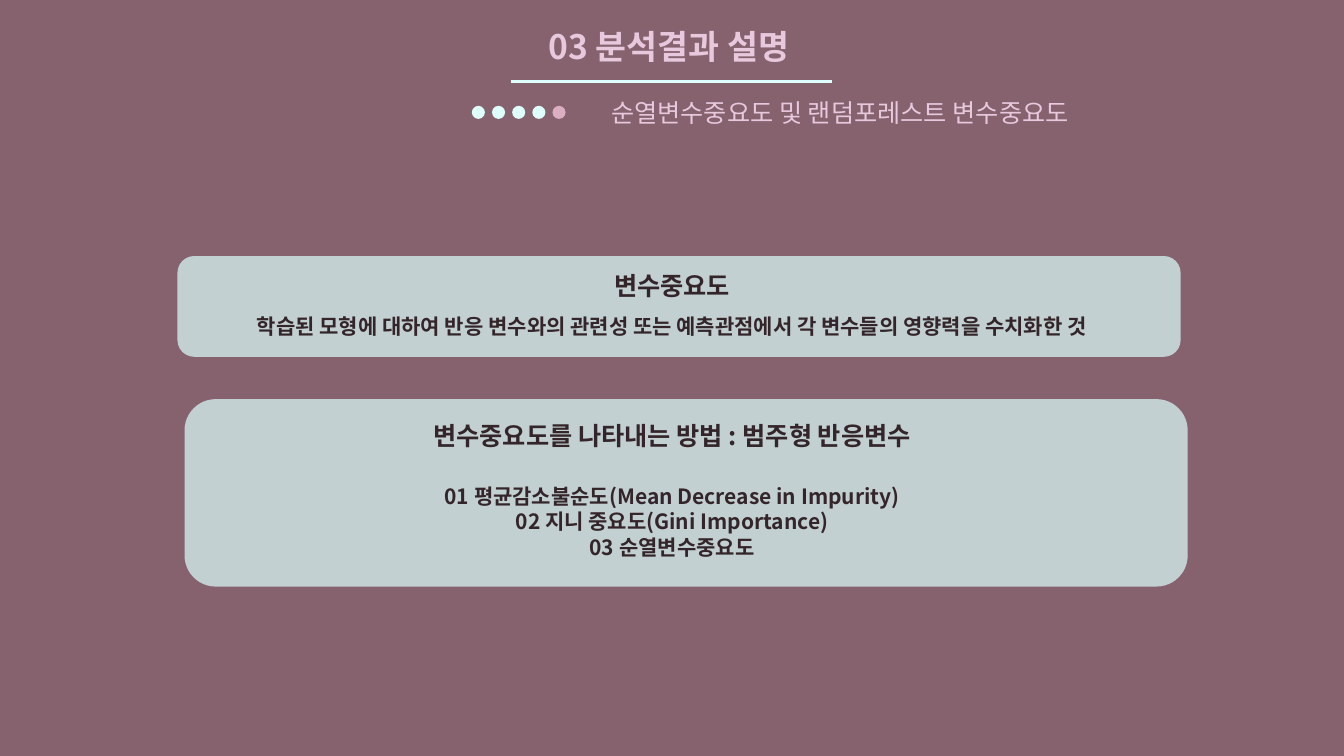
from dataclasses import dataclass

from lxml.etree import SubElement
from pptx import Presentation
from pptx.dml.color import RGBColor
from pptx.enum.shapes import MSO_CONNECTOR, MSO_SHAPE
from pptx.enum.text import MSO_AUTO_SIZE, PP_ALIGN
from pptx.oxml.ns import qn
from pptx.shapes.autoshape import Shape
from pptx.slide import Slide
from pptx.util import Inches, Pt


@dataclass(frozen=True)
class Theme:
    font: str = "Noto Sans CJK KR"
    background: RGBColor = RGBColor(0x86, 0x62, 0x6E)
    mint: RGBColor = RGBColor(0xDE, 0xFF, 0xFC)
    rose: RGBColor = RGBColor(0xDB, 0xAF, 0xC1)
    pink: RGBColor = RGBColor(0xE7, 0xC8, 0xDD)
    dark: RGBColor = RGBColor(0x33, 0x25, 0x29)
    title_size: int = 24
    heading_size: int = 18
    body_size: int = 15
    panel_opacity: int = 70


THEME = Theme()


@dataclass(frozen=True)
class Box:
    left: float
    top: float
    width: float
    height: float


@dataclass(frozen=True)
class Label:
    box: Box
    lines: tuple[str, ...]
    size: int
    color: RGBColor = THEME.dark
    bold: bool = True


PANELS = (Box(1.76, 2.54, 9.95, 1), Box(1.83, 3.96, 9.95, 1.86))

LABELS = (
    Label(Box(4.98, 0.21, 3.38, 0.5), ("03 분석결과 설명 ",), THEME.title_size, THEME.pink),
    Label(Box(5.62, 0.92, 5.42, 0.4), ("순열변수중요도 및 랜덤포레스트 변수중요도",),
          THEME.heading_size, THEME.pink, False),
    Label(Box(2.94, 2.63, 7.45, 0.4), ("변수중요도",), THEME.heading_size),
    Label(Box(1.69, 3.06, 9.95, 0.35),
          ("학습된 모형에 대하여 반응 변수와의 관련성 또는 예측관점에서 각 변수들의 영향력을 수치화한 것",),
          THEME.body_size),
    Label(Box(2.94, 4.12, 7.45, 0.4), ("변수중요도를 나타내는 방법 : 범주형 반응변수",),
          THEME.heading_size),
    Label(Box(2.94, 4.75, 7.45, 0.86),
          ("01 평균감소불순도(Mean Decrease in Impurity)",
           "02 지니 중요도(Gini Importance)",
           "03 순열변수중요도"),
          THEME.body_size),
)

DOT_COUNT = 5
DOT_LEFT, DOT_TOP, DOT_SIZE, DOT_PITCH = 4.68, 1.05, 0.13, 0.2


def add_filled_shape(slide: Slide, kind: MSO_SHAPE, box: Box, color: RGBColor) -> Shape:
    shape = slide.shapes.add_shape(
        kind, Inches(box.left), Inches(box.top), Inches(box.width), Inches(box.height))
    shape.shadow.inherit = False
    shape.fill.solid()
    shape.fill.fore_color.rgb = color
    shape.line.fill.background()
    return shape


def add_panel(slide: Slide, box: Box) -> None:
    panel = add_filled_shape(slide, MSO_SHAPE.ROUNDED_RECTANGLE, box, THEME.mint)
    color = panel._element.spPr.find(qn("a:solidFill")).find(qn("a:srgbClr"))
    SubElement(color, qn("a:alpha")).set("val", str(THEME.panel_opacity * 1000))


def add_underline(slide: Slide) -> None:
    line = slide.shapes.add_connector(
        MSO_CONNECTOR.STRAIGHT, Inches(5.07), Inches(0.81), Inches(8.25), Inches(0.81))
    line.line.color.rgb = THEME.mint
    line.line.width = Pt(2.25)
    SubElement(line._element.spPr, qn("a:effectLst"))


def add_label(slide: Slide, label: Label) -> None:
    box = label.box
    shape = slide.shapes.add_textbox(
        Inches(box.left), Inches(box.top), Inches(box.width), Inches(box.height))
    frame = shape.text_frame
    frame.word_wrap = True
    frame.auto_size = MSO_AUTO_SIZE.SHAPE_TO_FIT_TEXT
    for index, line in enumerate(label.lines):
        paragraph = frame.add_paragraph() if index else frame.paragraphs[0]
        paragraph.alignment = PP_ALIGN.CENTER
        run = paragraph.add_run()
        run.text = line
        run.font.size = Pt(label.size)
        run.font.bold = label.bold
        run.font.color.rgb = label.color
        run.font.name = THEME.font
        # Korean text takes its typeface from the East Asian slot
        SubElement(run.font._element, qn("a:ea")).set("typeface", THEME.font)


def main() -> None:
    presentation = Presentation()
    presentation.slide_width = Inches(13.33)
    presentation.slide_height = Inches(7.5)
    slide = presentation.slides.add_slide(presentation.slide_layouts[6])
    slide.background.fill.solid()
    slide.background.fill.fore_color.rgb = THEME.background

    # Header rule and progress dots, the last one in rose
    add_underline(slide)
    for index in range(DOT_COUNT):
        dot = Box(DOT_LEFT + index * DOT_PITCH, DOT_TOP, DOT_SIZE, DOT_SIZE)
        color = THEME.rose if index == DOT_COUNT - 1 else THEME.mint
        add_filled_shape(slide, MSO_SHAPE.FLOWCHART_CONNECTOR, dot, color)

    # Translucent panels
    for panel in PANELS:
        add_panel(slide, panel)

    # Text
    for label in LABELS:
        add_label(slide, label)

    presentation.save("out.pptx")


if __name__ == "__main__":
    main()
